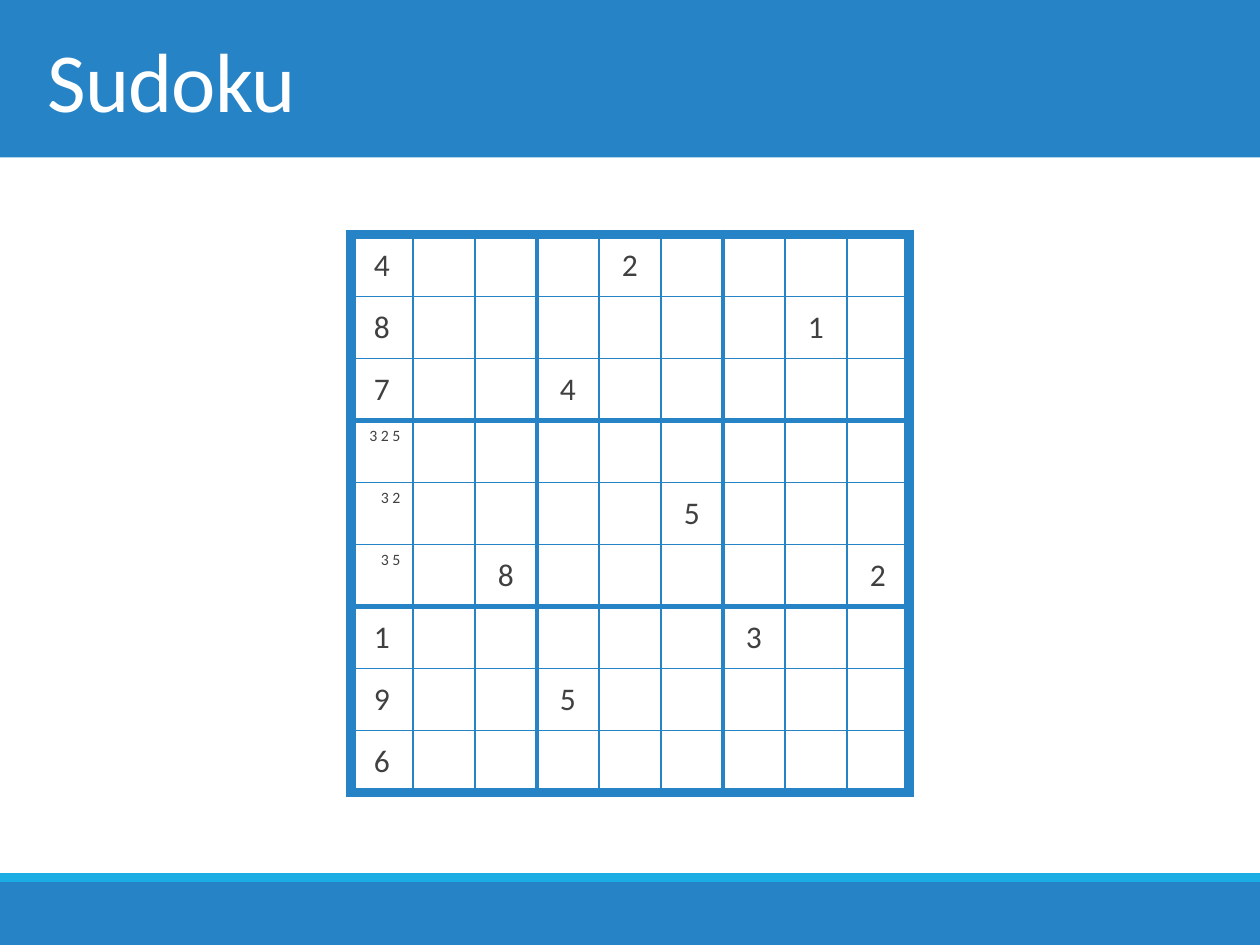
from lxml.etree import SubElement
from pptx import Presentation
from pptx.dml.color import RGBColor
from pptx.enum.shapes import MSO_SHAPE as Preset
from pptx.enum.text import MSO_ANCHOR as Anchor, PP_ALIGN as Align
from pptx.oxml.ns import qn
from pptx.util import Inches, Pt

BLUE = RGBColor(0x26, 0x83, 0xC6)
CYAN = RGBColor(0x1C, 0xAD, 0xE4)
GREY = RGBColor(0x40, 0x40, 0x40)
WHITE = RGBColor(0xFF, 0xFF, 0xFF)
FONT = "Calibri"

WIDTH, HEIGHT = 10, 7.5
HEADER, FOOTER, STRIPE = 1.25, 0.5, 0.07
BOARD, BOARD_TOP = 4.43, 1.86
SIZE, BOX = 9, 3
THIN, MEDIUM, THICK = 1, 3, 6

GIVENS = ["4...2....", "8......1.", "7..4.....",
          ".........", ".....5...", "..8.....2",
          "1.....3..", "9..5.....", "6........"]
CANDIDATES = {(3, 0): "3 2 5", (4, 0): "3 2", (5, 0): "3 5"}


def add_band(slide, top, height, color):
    """Add a full-width coloured band."""
    band = slide.shapes.add_shape(
        Preset.RECTANGLE, 0, Inches(top), Inches(WIDTH), Inches(height))
    band.shadow.inherit = False
    band.fill.solid()
    band.fill.fore_color.rgb = color
    band.line.fill.background()


def style_font(font, size, color):
    """Set typeface, size and colour of a font."""
    font.name, font.size = FONT, Pt(size)
    font.color.rgb = color


def set_title(slide, text):
    """Fill the title placeholder and bring it in front of the header."""
    title = slide.shapes.title
    title.left, title.top = Inches(0.28), 0
    title.width, title.height = Inches(9.45), Inches(HEADER)
    frame = title.text_frame
    frame.text = text
    frame.vertical_anchor = Anchor.MIDDLE
    paragraph = frame.paragraphs[0]
    paragraph.alignment = Align.LEFT
    style_font(paragraph.font, 48, WHITE)
    paragraph.runs[0].font._element.set("spc", "-50")
    title.element.getparent().append(title.element)


def rule_width(index):
    """Return the width of the grid rule with the given index."""
    if index in (0, SIZE):
        return THICK
    return THIN if index % BOX else MEDIUM


def set_borders(cell, row, column):
    """Draw the four rules around a cell."""
    properties = cell._tc.get_or_add_tcPr()
    sides = {"L": column, "R": column + 1, "T": row, "B": row + 1}
    for side, index in sides.items():
        line = SubElement(properties, qn(f"a:ln{side}"),
                          w=str(Pt(rule_width(index))))
        fill = SubElement(line, qn("a:solidFill"))
        SubElement(fill, qn("a:srgbClr"), val=str(BLUE))


def write_cell(cell, text, size, alignment, anchor):
    """Write a number or candidates into a cell."""
    cell.text = text
    cell.vertical_anchor = anchor
    paragraph = cell.text_frame.paragraphs[0]
    paragraph.alignment = alignment
    style_font(paragraph.font, size, GREY)


def add_board(slide):
    """Add the puzzle as a table."""
    table = slide.shapes.add_table(
        SIZE, SIZE, Inches((WIDTH - BOARD) / 2), Inches(BOARD_TOP),
        Inches(BOARD), Inches(BOARD)).table
    table.first_row = table.horz_banding = False
    for row, givens in enumerate(GIVENS):
        for column, given in enumerate(givens):
            cell = table.cell(row, column)
            set_borders(cell, row, column)
            cell.fill.background()
            if (row, column) in CANDIDATES:
                write_cell(cell, CANDIDATES[row, column], 9,
                           Align.RIGHT, Anchor.TOP)
            elif given != ".":
                write_cell(cell, given, 18, Align.CENTER, Anchor.MIDDLE)


def main():
    """Build and save the slide."""
    presentation = Presentation()
    presentation.slide_width = Inches(WIDTH)
    presentation.slide_height = Inches(HEIGHT)
    slide = presentation.slides.add_slide(presentation.slide_layouts[5])
    add_band(slide, 0, HEADER, BLUE)
    add_band(slide, HEIGHT - FOOTER, FOOTER, BLUE)
    add_band(slide, HEIGHT - FOOTER - STRIPE, STRIPE, CYAN)
    set_title(slide, "Sudoku")
    add_board(slide)
    presentation.save("out.pptx")


main()
